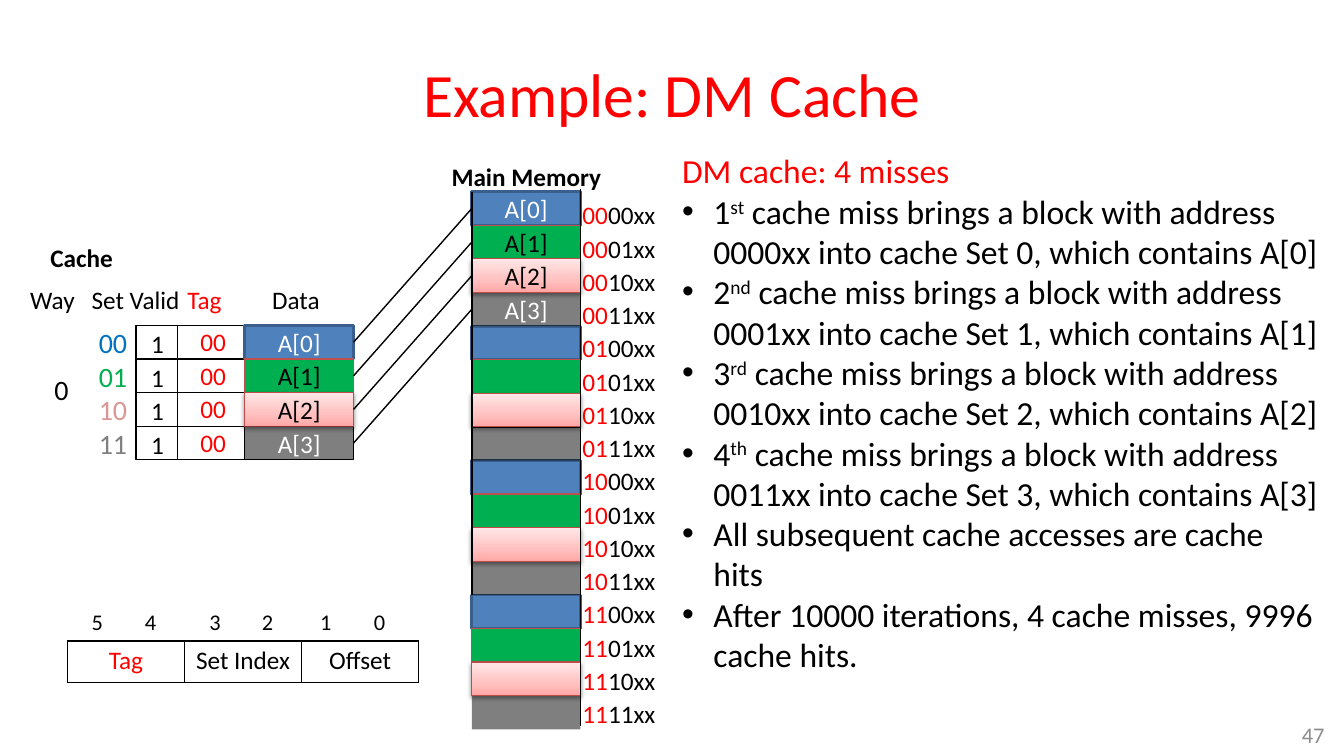
from lxml import etree
from pptx import Presentation
from pptx.dml.color import RGBColor
from pptx.enum import shapes, text
from pptx.oxml import ns
from pptx.util import Cm, Pt

COLORS = {
    "black": "000000", "white": "FFFFFF", "red": "FF0000", "blue": "4F81BD",
    "blue edge": "3A5F8C", "green": "00B050", "green edge": "C0504D",
    "pink edge": "BF4C48", "set 0": "0070C0", "set 1": "00B050",
    "set 2": "D99694", "set 3": "808080", "page": "8C8C8C",
}
PINK_STOPS = [(0, "FFA6A5"), (35, "FFC0BF"), (100, "FFE7E7")]
SET_STYLES = [  # fill, edge, edge width, text
    ("blue", "blue edge", 2, "white"),
    ("green", "green edge", 1, "black"),
    ("pink", "pink edge", 0.75, "black"),
    ("gray", None, 0, "white"),
]
CODES = ["00", "01", "10", "11"]
ROW = 13.55 / 16
BLOCK_WIDTH = 2.74


def rgb(name):
    return RGBColor.from_string(COLORS[name])


def xml_child(parent, tag, **attributes):
    return etree.SubElement(parent, ns.qn(tag), attributes)


def add_runs(paragraph, runs, size, bold=False):
    """Add (text, color, superscript) runs."""
    for words, color, raised in runs:
        run = paragraph.add_run()
        run.text = words
        run.font.name = "Calibri"
        run.font.size = Pt(size)
        run.font.color.rgb = rgb(color)
        if bold:
            run.font.bold = True
        if raised:
            run.font._element.set("baseline", "30000")


def add_label(slide, box, words="", size=18, color="black", bold=False,
              wrap=False, grow=True, align=None, anchor=text.MSO_ANCHOR.TOP):
    frame = slide.shapes.add_textbox(*map(Cm, box)).text_frame
    frame.word_wrap = wrap
    if grow:
        frame.auto_size = text.MSO_AUTO_SIZE.SHAPE_TO_FIT_TEXT
    frame.vertical_anchor = anchor
    if words:
        frame.paragraphs[0].alignment = align
        add_runs(frame.paragraphs[0], [(words, color, False)], size, bold)
    return frame


def add_rule(slide, x1, y1, x2, y2):
    rule = slide.shapes.add_connector(
        shapes.MSO_CONNECTOR.STRAIGHT, Cm(x1), Cm(y1), Cm(x2), Cm(y2))
    rule.line.color.rgb = rgb("black")
    rule.line.width = Pt(1)
    xml_child(rule._element.spPr, "a:effectLst")
    return rule


def add_rectangle(slide, x, y, width, height):
    rectangle = slide.shapes.add_shape(
        shapes.MSO_SHAPE.RECTANGLE, Cm(x), Cm(y), Cm(width), Cm(height))
    rectangle.shadow.inherit = False
    return rectangle


def fill_pink(block):
    """Vertical gradient with a soft shadow below."""
    block.fill.gradient()
    block.fill.gradient_angle = 90
    properties = block._element.spPr
    stops = properties.find(".//" + ns.qn("a:gsLst"))
    for stop in list(stops):
        stops.remove(stop)
    for position, value in PINK_STOPS:
        stop = xml_child(stops, "a:gs", pos=str(position * 1000))
        xml_child(stop, "a:srgbClr", val=value)
    shadow = xml_child(properties.find(ns.qn("a:effectLst")), "a:outerShdw",
                       blurRad="40000", dist="20000", dir="5400000", rotWithShape="0")
    xml_child(xml_child(shadow, "a:srgbClr", val="000000"), "a:alpha", val="38000")


def add_block(slide, x, y, set_index, words=""):
    fill, edge, edge_width, text_color = SET_STYLES[set_index]
    block = add_rectangle(slide, x, y, BLOCK_WIDTH, ROW)
    if fill == "pink":
        fill_pink(block)
    else:
        block.fill.solid()
        block.fill.fore_color.rgb = rgb("black" if fill == "gray" else fill)
    if fill == "gray":
        solid = block._element.spPr.find(".//" + ns.qn("a:srgbClr"))
        xml_child(solid, "a:alpha", val="50000")
    if edge:
        block.line.color.rgb = rgb(edge)
        block.line.width = Pt(edge_width)
    else:
        block.line.fill.background()
    if words:
        frame = block.text_frame
        frame.word_wrap = False
        frame.vertical_anchor = text.MSO_ANCHOR.MIDDLE
        frame.paragraphs[0].alignment = text.PP_ALIGN.CENTER
        add_runs(frame.paragraphs[0], [(words, text_color, False)], 18)
    return block


def add_memory(slide, left, top):
    """Draw the 16 memory blocks and return the four that hold A."""
    right = left + BLOCK_WIDTH
    add_label(slide, (left - 0.76, top - 0.89, 4.32, 1.02), "Main Memory", bold=True)
    for row in range(16):
        add_rule(slide, left, top + row * ROW, right, top + row * ROW)
    loaded = {}
    for set_index in (0, 3, 1, 2):
        for row in range(set_index, 16, 4):
            words = f"A[{row}]" if row < 4 else ""
            block = add_block(slide, left, top + row * ROW, set_index, words)
            if words:
                loaded[row] = block
    add_rule(slide, left, top, left, top + 12 * ROW)
    addresses = add_label(slide, (right - 0.2, top, 2.74, 13.79), wrap=True)
    for row in range(16):
        line = addresses.paragraphs[0] if row == 0 else addresses.add_paragraph()
        line.line_spacing = 1.1
        add_runs(line, [(CODES[row // 4], "red", False),
                        (CODES[row % 4] + "xx", "black", False)], 18)
    add_rule(slide, right, top - 0.08, right, top + 13.47)
    return loaded


def add_cache(slide, left, top, memory_blocks):
    add_label(slide, (left + 0.51, top, 2.11, 1.02), "Cache", bold=True)
    for heading, x, width in (("Way", 0, 1.65), ("Set", 1.55, 1.35), ("Valid", 2.51, 1.78),
                              ("Tag", 3.96, 1.37), ("Data", 6.1, 1.73)):
        add_label(slide, (left + x, top + 1.04, width, 1.02), heading,
                  color="red" if heading == "Tag" else "black")
    grid_top = top + 2.21
    for x, width in ((2.92, 1.04), (3.96, 1.7), (5.66, BLOCK_WIDTH)):
        column = add_rectangle(slide, left + x, grid_top, width, 4 * ROW)
        column.fill.background()
        column.line.color.rgb = rgb("black")
        column.line.width = Pt(1)
        for row in range(1, 4):
            y = grid_top + row * ROW
            add_rule(slide, left + x, y, left + x + width, y)
    add_label(slide, (left + 0.61, top + 3.28, 0.86, 1.12), "0", 20)
    for row, code in enumerate(CODES):
        y = grid_top + row * ROW
        add_label(slide, (left + 1.73, y - 0.12, 1.24, 1.12), code, 20, f"set {row}")
        block = add_block(slide, left + 5.66, y, row, f"A[{row}]")
        fetch = add_rule(slide, 0, 0, 1, 1)
        fetch.begin_connect(memory_blocks[row], 1)
        fetch.end_connect(block, 3)
        add_label(slide, (left + 4.29, y - 0.1, 1.17, 1.02), "00", color="red")
        add_label(slide, (left + 3.05, y - 0.05, 0.84, 1.02), "1")


def add_address_format(slide, left, top):
    for bit, x in zip("543210", (0.36, 1.7, 3.33, 4.65, 6.12, 7.47)):
        add_label(slide, (left + x, top, 0.75, 0.94), bit, 16)
    fields = slide.shapes.add_table(
        1, 3, Cm(left), Cm(top + 0.94), Cm(8.85), Cm(1.04)).table
    for cell, name in zip(fields.iter_cells(), ("Tag", "Set Index", "Offset")):
        properties = cell._tc.get_or_add_tcPr()
        for side in ("a:lnL", "a:lnR", "a:lnT", "a:lnB"):
            border = xml_child(xml_child(properties, side, w="12700"), "a:solidFill")
            xml_child(border, "a:srgbClr", val=COLORS["black"])
        cell.fill.background()
        paragraph = cell.text_frame.paragraphs[0]
        paragraph.alignment = text.PP_ALIGN.CENTER
        add_runs(paragraph, [(name, "red" if name == "Tag" else "black", False)], 18)
        paragraph.runs[0].font.bold = False


def add_explanation(slide, box):
    frame = add_label(slide, box, "DM cache: 4 misses", 24, "red", wrap=True)
    points = [
        [(str(n + 1), "black", False), (suffix, "black", True),
         (f" cache miss brings a block with address 00{CODES[n]}xx "
          f"into cache Set {n}, which contains A[{n}]", "black", False)]
        for n, suffix in enumerate(("st", "nd", "rd", "th"))]
    points += [[(words, "black", False)] for words in (
        "All subsequent cache accesses are cache hits",
        "After 10000 iterations, 4 cache misses, 9996 cache hits.")]
    for runs in points:
        paragraph = frame.add_paragraph()
        properties = paragraph._p.get_or_add_pPr()
        properties.set("marL", str(Cm(0.79)))
        properties.set("indent", str(-Cm(0.79)))
        xml_child(properties, "a:buFont", typeface="Arial")
        xml_child(properties, "a:buChar", char="•")
        add_runs(paragraph, runs, 24)


def main():
    deck = Presentation()
    deck.slide_width, deck.slide_height = Cm(33.87), Cm(19.05)
    slide = deck.slides.add_slide(deck.slide_layouts[6])
    add_label(slide, (1.7, 0.76, 30.48, 3.18), "Example: DM Cache", 44, "red", wrap=True,
              grow=False, align=text.PP_ALIGN.CENTER, anchor=text.MSO_ANCHOR.MIDDLE)
    memory_blocks = add_memory(slide, 11.89, 4.83)
    add_cache(slide, 0.51, 5.99, memory_blocks)
    add_explanation(slide, (16.94, 3.66, 16.56, 13.59))
    add_address_format(slide, 1.7, 15.21)
    add_label(slide, (31.93, 17.98, 1.7, 1.07), "47", 16, "page", wrap=True,
              grow=False, align=text.PP_ALIGN.RIGHT, anchor=text.MSO_ANCHOR.MIDDLE)
    deck.save("out.pptx")


if __name__ == "__main__":
    main()
